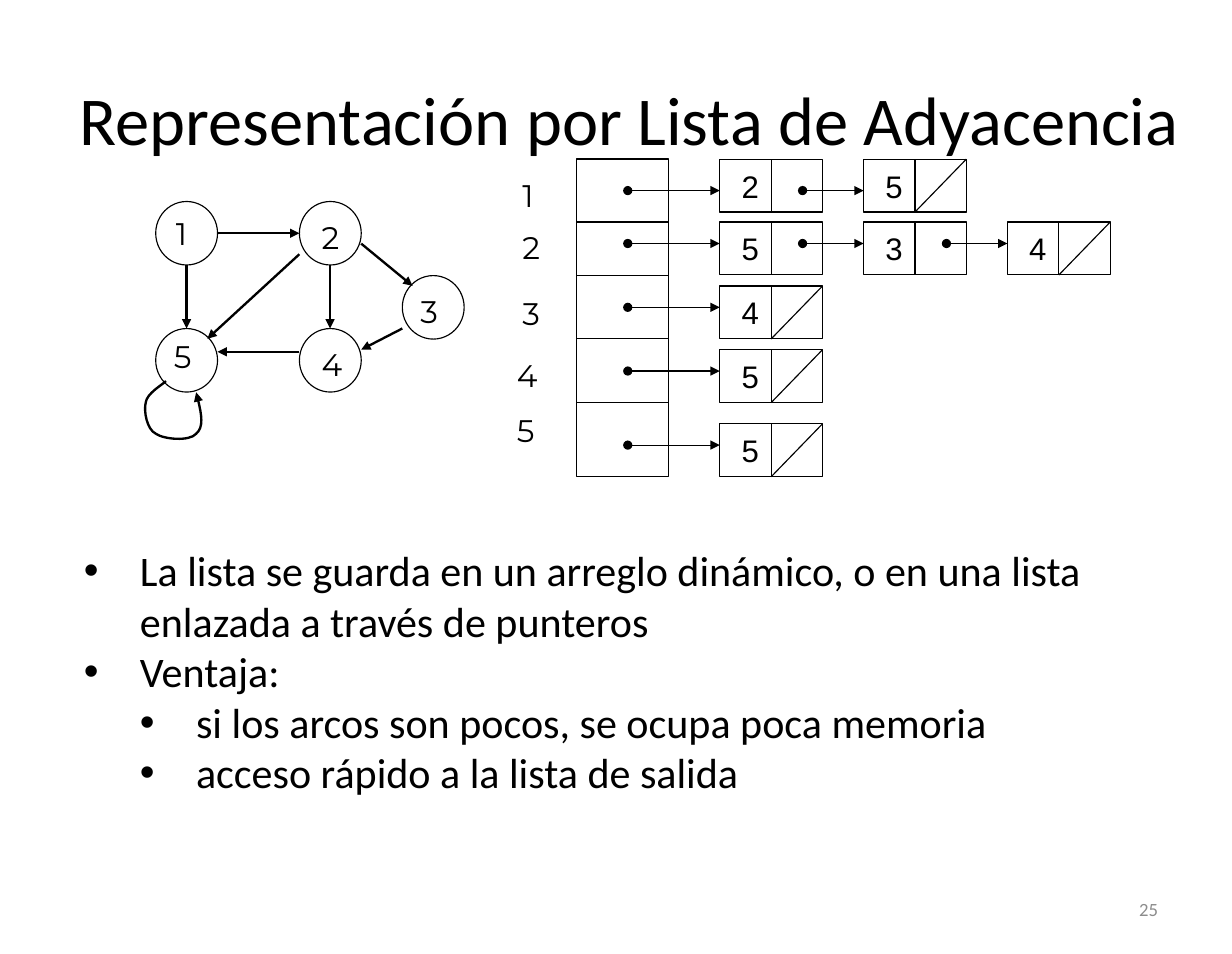
from dataclasses import dataclass

from lxml import etree
from pptx import Presentation
from pptx.dml.color import RGBColor
from pptx.enum import shapes, text
from pptx.oxml.ns import qn
from pptx.util import Pt


@dataclass(frozen=True)
class Theme:
    ink: RGBColor = RGBColor(0, 0, 0)
    muted: RGBColor = RGBColor(0x8C, 0x8C, 0x8C)
    prose_font: str = "Calibri"
    label_font: str = "Montserrat"
    cell_font: str = "Arial"
    title_size: float = 44
    body_size: float = 27
    label_size: float = 20
    number_size: float = 12
    thin: float = 0.75
    thick: float = 1.5


@dataclass(frozen=True)
class Vertex:
    label: str
    left: float
    top: float
    label_left: float
    label_top: float


@dataclass(frozen=True)
class Edge:
    start: tuple[float, float]
    end: tuple[float, float]


@dataclass(frozen=True)
class ListRow:
    label: str
    label_left: float
    label_top: float
    slot_top: float
    cell_top: float
    arrow_y: float
    neighbours: str


@dataclass(frozen=True)
class Bullet:
    content: str
    level: int


THEME = Theme()
VERTEX_WIDTH, VERTEX_HEIGHT = 39.7, 40.8
ARRAY_LEFT, ARRAY_TOP, ARRAY_WIDTH, ARRAY_HEIGHT = 370.2, 102.2, 59.4, 203.8
CELL_LEFT, CELL_STEP, CELL_WIDTH, CELL_HEIGHT = 462.3, 92.4, 66, 34
SLOT_POINTER, CELL_POINTER = 403.2, 53.2
BULLET_INDENT = 36

VERTICES = [
    Vertex("1", 100, 129.4, 105.1, 133.2),
    Vertex("5", 100, 211, 103.7, 212.4),
    Vertex("4", 192.3, 211, 198.7, 217.4),
    Vertex("2", 192.3, 129.4, 198.7, 136.1),
    Vertex("3", 258.4, 177, 262.1, 183.6),
]
EDGES = [
    Edge((192.3, 163.3), (133.2, 217.6)),
    Edge((119.8, 170.2), (119.8, 211)),
    Edge((139.7, 149.8), (192.3, 149.8)),
    Edge((192.3, 226), (139.7, 226)),
    Edge((212, 170.2), (212, 211)),
    Edge((232, 156.5), (265, 183.6)),
    Edge((258.4, 211), (232, 224.6)),
]
SELF_LOOP = [
    (106.6, 244.8),
    (104.4, 247), (94.3, 252.7), (93.6, 258.5),
    (92.2, 264.2), (94.3, 275.8), (100.1, 278.6),
    (105.1, 282.2), (121.7, 283.7), (126, 278.6),
    (131, 274.3), (128.9, 262.8), (126, 252),
]
ROWS = [
    ListRow("1", 327.6, 108.7, 102.2, 102.2, 122.4, "25"),
    ListRow("2", 327.6, 142.6, 142.6, 142.6, 156.4, "534"),
    ListRow("3", 327.6, 185, 177, 183.7, 197.4, "4"),
    ListRow("4", 324, 224.6, 217.6, 224.6, 238.3, "5"),
    ListRow("5", 324, 259.9, 258.5, 272.2, 285.9, "5"),
]
BULLETS = [
    Bullet("La lista se guarda en un arreglo dinámico, o en una lista enlazada a través de punteros", 0),
    Bullet("Ventaja:", 0),
    Bullet("si los arcos son pocos, se ocupa poca memoria", 1),
    Bullet("acceso rápido a la lista de salida", 1),
]


def style_font(para, name: str, size: float, color: RGBColor = THEME.ink) -> None:
    para.font.name = name
    para.font.size = Pt(size)
    para.font.color.rgb = color


def style_line(item, weight: float, head: str = "", tail: str = "") -> None:
    item.line.color.rgb = THEME.ink
    item.line.width = Pt(weight)
    outline = item.line._get_or_add_ln()
    for tag, kind in (("a:headEnd", head), ("a:tailEnd", tail)):
        if kind:
            etree.SubElement(outline, qn(tag), type=kind)


def add_text(page, content: str, left: float, top: float, width: float, height: float,
             name: str, size: float, color: RGBColor = THEME.ink,
             align=text.PP_ALIGN.LEFT, wrap: bool = True):
    box = page.shapes.add_textbox(Pt(left), Pt(top), Pt(width), Pt(height))
    frame = box.text_frame
    frame.word_wrap = wrap
    frame.vertical_anchor = text.MSO_ANCHOR.MIDDLE
    para = frame.paragraphs[0]
    para.text = content
    para.alignment = align
    style_font(para, name, size, color)
    return box


def add_label(page, content: str, left: float, top: float) -> None:
    box = add_text(page, content, left, top, 29.5, 32.4, THEME.label_font, THEME.label_size, wrap=False)
    frame = box.text_frame
    frame.vertical_anchor = text.MSO_ANCHOR.TOP
    frame.auto_size = text.MSO_AUTO_SIZE.SHAPE_TO_FIT_TEXT
    frame.margin_left = frame.margin_right = Pt(7.9)
    frame.margin_top = frame.margin_bottom = Pt(4.3)


def add_outline(page, kind, left: float, top: float, width: float, height: float):
    shape = page.shapes.add_shape(kind, Pt(left), Pt(top), Pt(width), Pt(height))
    shape.shadow.inherit = False
    shape.fill.background()
    style_line(shape, THEME.thin)
    return shape


def add_line(page, start: tuple[float, float], end: tuple[float, float],
             weight: float = THEME.thin, head: str = "", tail: str = ""):
    line = page.shapes.add_connector(
        shapes.MSO_CONNECTOR.STRAIGHT, *(Pt(value) for value in (*start, *end)))
    style_line(line, weight, head, tail)
    etree.SubElement(line._element.spPr, qn("a:effectLst"))
    return line


def add_self_loop(page) -> None:
    points = [(Pt(x), Pt(y)) for x, y in SELF_LOOP]
    builder = page.shapes.build_freeform(*points[0], scale=1.0)
    builder.add_line_segments(points[1:], close=False)
    loop = builder.convert_to_shape()
    loop.shadow.inherit = False
    loop.fill.background()
    style_line(loop, THEME.thick, tail="triangle")
    segments = loop._element.xpath(".//a:lnTo")
    for first in range(0, len(segments), 3):
        curve = segments[first]
        curve.tag = qn("a:cubicBezTo")
        for segment in segments[first + 1:first + 3]:
            curve.append(segment[0])
            segment.getparent().remove(segment)


def add_cell(page, content: str, left: float, top: float, last: bool) -> None:
    cell = add_outline(page, shapes.MSO_SHAPE.RECTANGLE, left, top, CELL_WIDTH, CELL_HEIGHT)
    frame = cell.text_frame
    frame.margin_left = Pt(14)
    frame.vertical_anchor = text.MSO_ANCHOR.MIDDLE
    para = frame.paragraphs[0]
    para.text = content
    para.alignment = text.PP_ALIGN.LEFT
    style_font(para, THEME.cell_font, THEME.label_size)
    middle, bottom = left + CELL_WIDTH / 2, top + CELL_HEIGHT
    divider = add_line(page, (middle, top), (middle, bottom))
    divider.begin_connect(cell, 0)
    divider.end_connect(cell, 2)
    if last:
        add_line(page, (middle, bottom), (left + CELL_WIDTH, top))


def add_row(page, row: ListRow) -> None:
    add_label(page, row.label, row.label_left, row.label_top)
    if row.slot_top > ARRAY_TOP:
        add_line(page, (ARRAY_LEFT, row.slot_top), (ARRAY_LEFT + ARRAY_WIDTH, row.slot_top))
    pointer = SLOT_POINTER
    for column, neighbour in enumerate(row.neighbours):
        left = CELL_LEFT + column * CELL_STEP
        add_cell(page, neighbour, left, row.cell_top, column == len(row.neighbours) - 1)
        add_line(page, (pointer, row.arrow_y), (left, row.arrow_y), head="oval", tail="triangle")
        pointer = left + CELL_POINTER


def add_bullets(page) -> None:
    box = page.shapes.add_textbox(Pt(46), Pt(345.6), Pt(666), Pt(171.4))
    frame = box.text_frame
    frame.word_wrap = True
    frame.margin_left = frame.margin_right = Pt(7.9)
    frame.margin_top = frame.margin_bottom = Pt(4.3)
    for index, bullet in enumerate(BULLETS):
        para = frame.add_paragraph() if index else frame.paragraphs[0]
        para.text = bullet.content
        para.level = bullet.level
        style_font(para, THEME.prose_font, THEME.body_size)
        properties = para._p.get_or_add_pPr()
        properties.set("marL", str(Pt(BULLET_INDENT * (bullet.level + 1))))
        properties.set("indent", str(-Pt(BULLET_INDENT)))
        marks = [etree.Element(qn("a:buFont"), typeface="Arial"), etree.Element(qn("a:buChar"), char="•")]
        for position, mark in enumerate(marks):
            properties.insert(position, mark)


def main() -> None:
    deck = Presentation()
    deck.slide_width, deck.slide_height = Pt(791.3), Pt(612.7)
    page = deck.slides.add_slide(deck.slide_layouts[6])
    add_text(page, "Representación por Lista de Adyacencia", 39.6, 24.5, 730, 102.2,
             THEME.prose_font, THEME.title_size, align=text.PP_ALIGN.CENTER)
    add_bullets(page)
    for vertex in VERTICES:
        add_outline(page, shapes.MSO_SHAPE.OVAL, vertex.left, vertex.top, VERTEX_WIDTH, VERTEX_HEIGHT)
        add_label(page, vertex.label, vertex.label_left, vertex.label_top)
    for edge in EDGES:
        add_line(page, edge.start, edge.end, THEME.thick, tail="triangle")
    add_self_loop(page)
    add_outline(page, shapes.MSO_SHAPE.RECTANGLE, ARRAY_LEFT, ARRAY_TOP, ARRAY_WIDTH, ARRAY_HEIGHT)
    for row in ROWS:
        add_row(page, row)
    add_text(page, "25", 566.6, 567.4, 184.3, 32.4, THEME.prose_font, THEME.number_size,
             THEME.muted, text.PP_ALIGN.RIGHT)
    deck.save("out.pptx")


if __name__ == "__main__":
    main()
